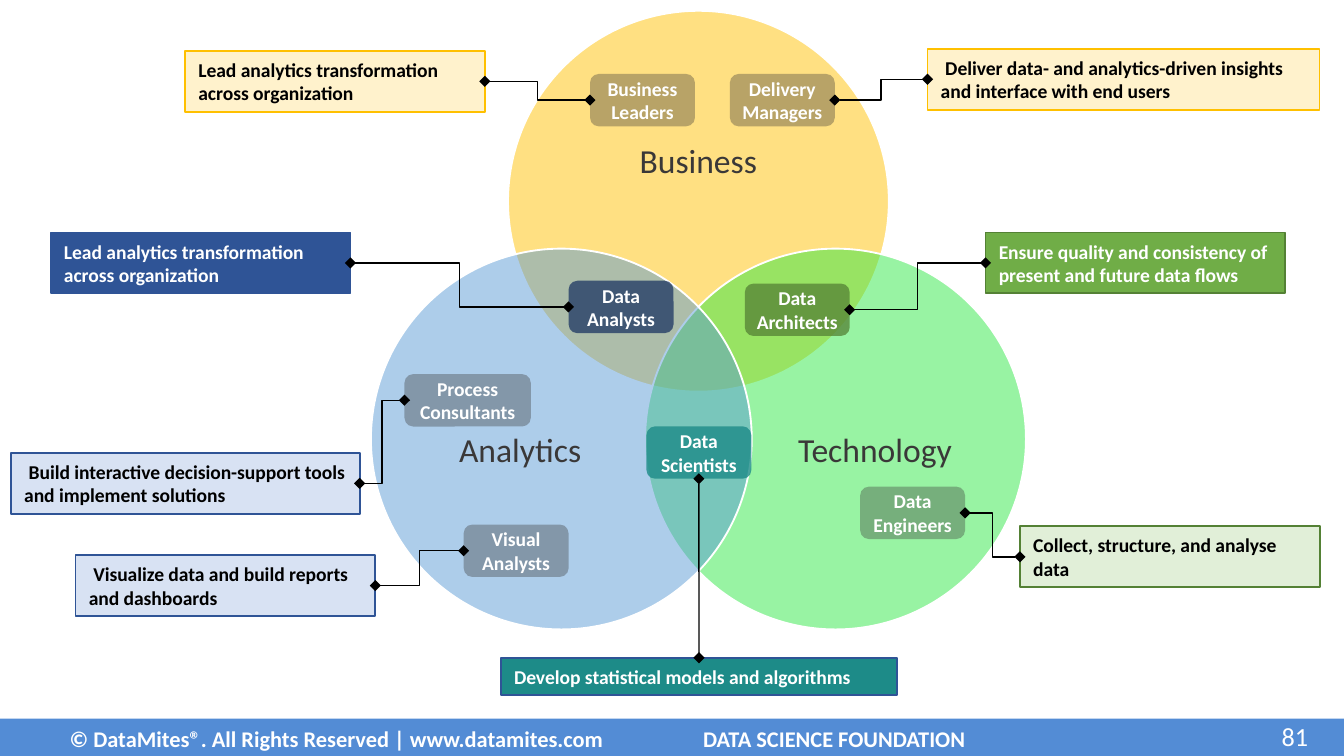
from lxml import etree
from pptx import Presentation
from pptx.dml.color import RGBColor
from pptx.enum.shapes import MSO_CONNECTOR, MSO_SHAPE
from pptx.enum.text import MSO_ANCHOR, PP_ALIGN
from pptx.oxml.ns import qn
from pptx.util import Pt

RECTANGLE = MSO_SHAPE.RECTANGLE
ROUNDED = MSO_SHAPE.ROUNDED_RECTANGLE
OVAL = MSO_SHAPE.OVAL
ELBOW = MSO_CONNECTOR.ELBOW
STRAIGHT = MSO_CONNECTOR.STRAIGHT
MIDDLE = MSO_ANCHOR.MIDDLE
LEFT, CENTER, RIGHT = PP_ALIGN.LEFT, PP_ALIGN.CENTER, PP_ALIGN.RIGHT
SIDE_TOP, SIDE_LEFT, SIDE_BOTTOM, SIDE_RIGHT = range(4)

WHITE = RGBColor(0xFF, 0xFF, 0xFF)
BLACK = RGBColor(0x00, 0x00, 0x00)
CHARCOAL = RGBColor(0x3A, 0x38, 0x38)
GREY = RGBColor(0x3B, 0x38, 0x38)
FOOTER_BLUE = RGBColor(0x53, 0x8C, 0xD5)
GOLD = RGBColor(0xFF, 0xC0, 0x00)
CREAM = RGBColor(0xFF, 0xF2, 0xCC)
BRIGHT_GREEN = RGBColor(0x2E, 0xE8, 0x44)
SKY = RGBColor(0x59, 0x99, 0xD5)
NAVY = RGBColor(0x1F, 0x38, 0x64)
BLUE = RGBColor(0x2F, 0x54, 0x96)
PALE_BLUE = RGBColor(0xD8, 0xE2, 0xF3)
TEAL = RGBColor(0x1D, 0x8B, 0x88)
DARK_GREEN = RGBColor(0x54, 0x81, 0x35)
GREEN = RGBColor(0x70, 0xAD, 0x47)
PALE_GREEN = RGBColor(0xE1, 0xEF, 0xD8)

FONT = "Calibri"
VENN_BOX = (198.7, 5.8, 350.9, 331.4)
FOOTER_BOX = (0, 385, 720, 20)
CIRCLE_SIZE = 204
ROLE_WIDTH, ROLE_HEIGHT = 56.2, 28.1
CALLOUT_WIDTH, CALLOUT_HEIGHT = 160.6, 32.6

CIRCLES = [
    ("Business", 0.5, 0, GOLD, 0, -20.5),
    ("Technology", 1, 1, BRIGHT_GREEN, 21.2, 6.8),
    ("Analytics", 0, 1, SKY, -22, 6.8),
]
ROLES = [
    ("Business\nLeaders", 117.4, 33.8, ROLE_WIDTH, GREY, 36),
    ("Delivery\nManagers", 192.3, 33.8, ROLE_WIDTH, GREY, 36),
    ("Visual Analysts", 49.7, 275.2, ROLE_WIDTH, GREY, 36),
    ("Process Consultants", 18, 194.6, 67.7, GREY, 36),
    ("Data Engineers", 262.1, 254.9, ROLE_WIDTH, GREY, 36),
    ("Data Architects", 200.3, 146.1, ROLE_WIDTH, DARK_GREEN, 75),
    ("Data Analysts", 105.9, 144.6, ROLE_WIDTH, NAVY, 76),
    ("Data Scientists", 147.6, 222.6, ROLE_WIDTH, TEAL, 80),
]
FACING_RIGHT = (SIDE_LEFT, SIDE_RIGHT)
FACING_LEFT = (SIDE_RIGHT, SIDE_LEFT)
FACING_UP = (SIDE_BOTTOM, SIDE_TOP)
LEAD = "Lead analytics transformation\nacross organization"
CALLOUTS = [
    ("Business\nLeaders", LEAD, (99.2, 27.3, CALLOUT_WIDTH, CALLOUT_HEIGHT),
     CREAM, GOLD, BLACK, 0, FACING_RIGHT),
    ("Delivery\nManagers", "Deliver data- and analytics-driven insights and interface with end users",
     (496.9, 26.2, 210, CALLOUT_HEIGHT), CREAM, GOLD, BLACK, 2.4, FACING_LEFT),
    ("Data Analysts", LEAD, (27.2, 124.6, CALLOUT_WIDTH, CALLOUT_HEIGHT),
     BLUE, BLUE, WHITE, 0, FACING_RIGHT),
    ("Process Consultants", "Build interactive decision-support tools and implement solutions",
     (5.9, 242.7, 186.8, CALLOUT_HEIGHT), PALE_BLUE, BLUE, BLACK, 2.4, FACING_RIGHT),
    ("Visual Analysts", "Visualize data and build reports and dashboards",
     (40.5, 297.4, CALLOUT_WIDTH, CALLOUT_HEIGHT), PALE_BLUE, BLUE, BLACK, 2.4, FACING_RIGHT),
    ("Data Architects", "Ensure quality and consistency of present and future data flows",
     (528, 124.6, CALLOUT_WIDTH, CALLOUT_HEIGHT), GREEN, DARK_GREEN, WHITE, 0, FACING_LEFT),
    ("Data Engineers", "Collect, structure, and analyse data",
     (546.4, 282, CALLOUT_WIDTH, CALLOUT_HEIGHT), PALE_GREEN, DARK_GREEN, BLACK, 0, FACING_LEFT),
    ("Data Scientists", "Develop statistical models and algorithms",
     (268.3, 352.4, 212.4, 20), TEAL, BLUE, WHITE, 0, FACING_UP),
]


def write_text(shape, text, size=10.5, color=WHITE, bold=True, align=LEFT,
               insets=(7.2, 3.6), spacing=None, indent=0, tab=None):
    frame = shape.text_frame
    frame.word_wrap = True
    frame.vertical_anchor = MIDDLE
    frame.margin_left = frame.margin_right = Pt(insets[0])
    frame.margin_top = frame.margin_bottom = Pt(insets[1])
    for index, line in enumerate(text.split("\n")):
        paragraph = frame.add_paragraph() if index else frame.paragraphs[0]
        paragraph.alignment = align
        if spacing:
            paragraph.line_spacing = spacing
        properties = paragraph._p.get_or_add_pPr()
        if indent:
            properties.set("indent", str(int(Pt(indent))))
        if tab:
            tabs = etree.SubElement(properties, qn("a:tabLst"))
            etree.SubElement(tabs, qn("a:tab"), pos=str(int(Pt(tab))), algn="l")
        run = paragraph.add_run()
        run.text = line
        run.font.name = FONT
        run.font.size = Pt(size)
        run.font.bold = bold
        run.font.color.rgb = color


def add_box(slide, kind, box, fill, line=None, opacity=100):
    shape = slide.shapes.add_shape(kind, *map(Pt, box))
    shape.shadow.inherit = False
    shape.fill.solid()
    shape.fill.fore_color.rgb = fill
    if opacity < 100:
        color = shape._element.spPr.find(qn("a:solidFill"))[0]
        etree.SubElement(color, qn("a:alpha"), val=str(opacity * 1000))
    if line is None:
        shape.line.fill.background()
    else:
        shape.line.color.rgb = line
        shape.line.width = Pt(1)
    return shape


def add_label(slide, text, box, **text_format):
    label = slide.shapes.add_textbox(*map(Pt, box))
    write_text(label, text, **text_format)


def add_footer(slide, box):
    left, top, width, height = box
    add_box(slide, RECTANGLE, box, FOOTER_BLUE)
    add_label(slide, "© DataMites®. All Rights Reserved | www.datamites.com\tDATA SCIENCE FOUNDATION",
              (left + 30.2, top, 562.3, height + 1.6), size=12, tab=339.4)
    add_label(slide, "81", (left + width - 54, top, 41.8, height - 1),
              size=14, bold=False, align=RIGHT)


def add_venn(slide, box):
    left, top, width, height = box
    label_width, label_height = 106, 72
    for name, across, down, fill, shift_x, shift_y in CIRCLES:
        x = left + across * (width - CIRCLE_SIZE)
        y = top + down * (height - CIRCLE_SIZE)
        add_box(slide, OVAL, (x, y, CIRCLE_SIZE, CIRCLE_SIZE), fill, WHITE, opacity=49)
        label_box = (x + (CIRCLE_SIZE - label_width) / 2 + shift_x,
                     y + (CIRCLE_SIZE - label_height) / 2 + shift_y,
                     label_width, label_height)
        add_label(slide, name, label_box, size=18, color=CHARCOAL, bold=False,
                  align=CENTER, insets=(0, 0), spacing=0.9)


def add_roles(slide, box):
    roles = {}
    for name, x, y, width, fill, opacity in ROLES:
        role_box = (box[0] + x, box[1] + y, width, ROLE_HEIGHT)
        role = add_box(slide, ROUNDED, role_box, fill, opacity=opacity)
        write_text(role, name, align=CENTER, insets=(2.2, 0))
        roles[name] = role
    return roles


def join_shapes(slide, role, callout, sides):
    kind = STRAIGHT if sides == FACING_UP else ELBOW
    connector = slide.shapes.add_connector(kind, 0, 0, 0, 0)
    connector.begin_connect(role, sides[0])
    connector.end_connect(callout, sides[1])
    connector.line.color.rgb = BLACK
    connector.line.width = Pt(0.75)
    line = connector.line._get_or_add_ln()
    for end in ("a:headEnd", "a:tailEnd"):
        etree.SubElement(line, qn(end), type="diamond")
    etree.SubElement(connector._element.spPr, qn("a:effectLst"))


def add_callout(slide, box, text, fill, line, color, indent):
    callout = add_box(slide, RECTANGLE, box, fill, line)
    write_text(callout, text, color=color, indent=indent)
    return callout


def main():
    presentation = Presentation()
    presentation.slide_width, presentation.slide_height = Pt(720), Pt(405)
    slide = presentation.slides.add_slide(presentation.slide_layouts[6])
    add_footer(slide, FOOTER_BOX)
    add_venn(slide, VENN_BOX)
    roles = add_roles(slide, VENN_BOX)
    for role, text, box, fill, line, color, indent, sides in CALLOUTS:
        callout = add_callout(slide, box, text, fill, line, color, indent)
        join_shapes(slide, roles[role], callout, sides)
    presentation.save("out.pptx")


if __name__ == "__main__":
    main()
